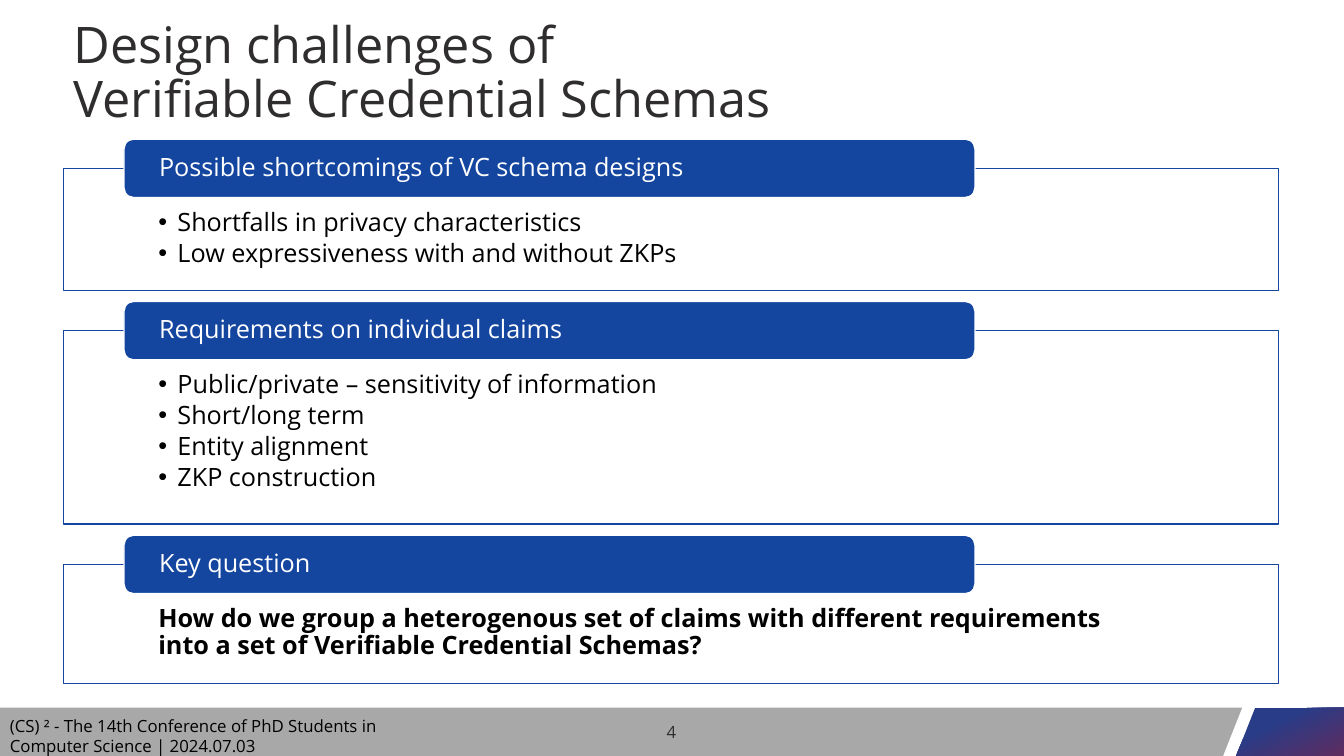
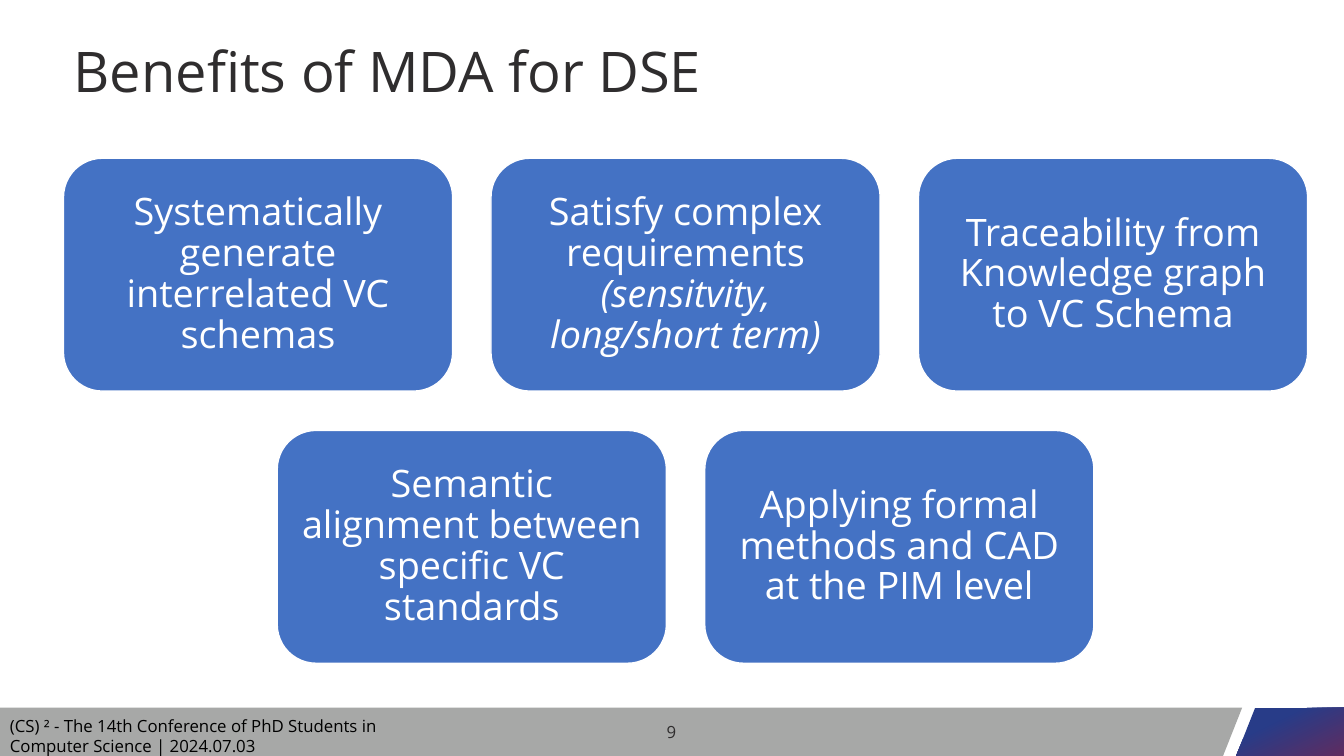
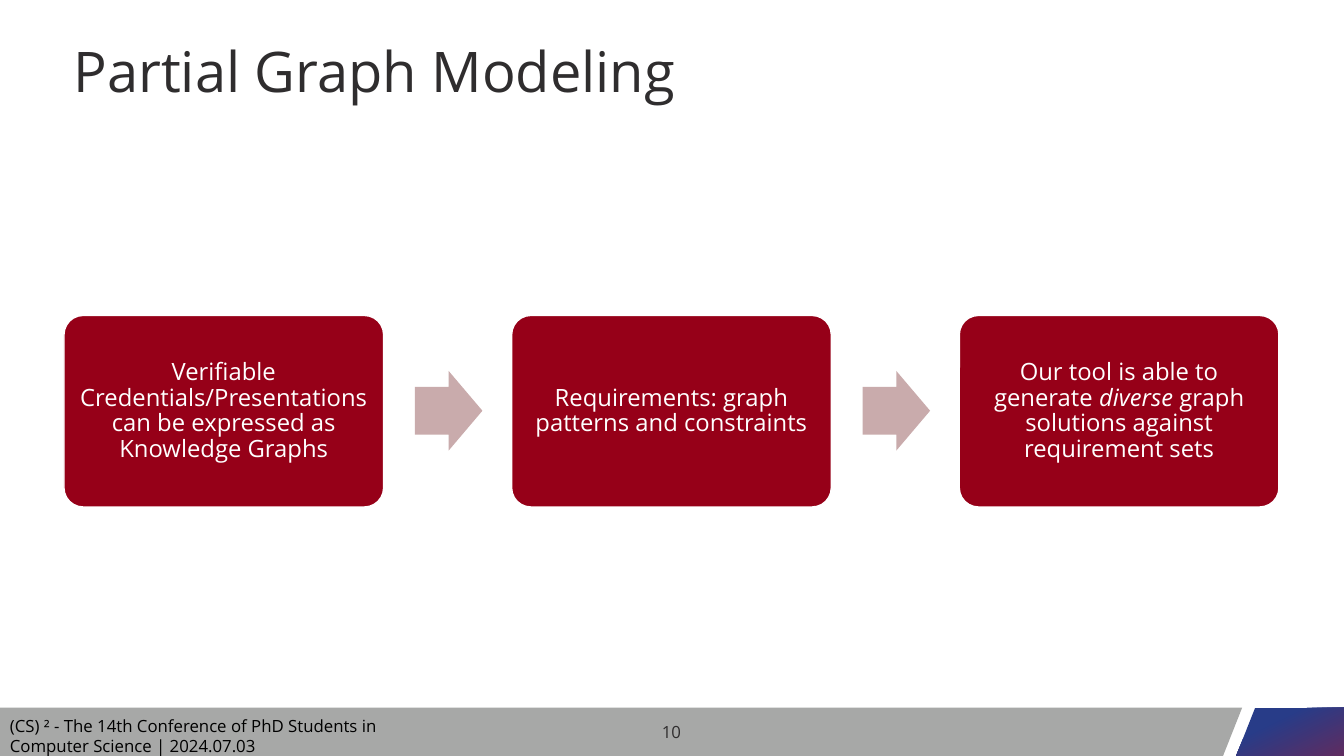
from pptx import Presentation
from pptx.dml.color import RGBColor
from pptx.enum.shapes import MSO_SHAPE
from pptx.enum.text import MSO_ANCHOR, MSO_AUTO_SIZE, PP_ALIGN
from pptx.util import Inches, Pt

# Shared style
FONT = "Open Sans"
BLACK = RGBColor(0x00, 0x00, 0x00)
WHITE = RGBColor(0xFF, 0xFF, 0xFF)
INK = RGBColor(0x2F, 0x2D, 0x2E)
GREY = RGBColor(0xA7, 0xA8, 0xA7)
NAVY = RGBColor(0x28, 0x3C, 0x88)
PLUM = RGBColor(0x5F, 0x2C, 0x60)
BLUE = RGBColor(0x14, 0x46, 0xA0)
SKY = RGBColor(0x44, 0x72, 0xC4)
RED = RGBColor(0x96, 0x00, 0x18)
ROSE = RGBColor(0xC9, 0xAB, 0xAC)

TITLE_ONLY, TWO_LISTS = 5, 3
LEFT, WIDE = 0.63, 12.05


# Elements
def write(shape, *lines, size=18, color=BLACK, bold=False, align=PP_ALIGN.LEFT,
          anchor=MSO_ANCHOR.TOP, inset=(0.1, 0.05), space=0.9, after=0, hang=0):
    """Fill a shape with paragraphs; *stars* mark italics, \\n breaks a line."""
    frame = shape.text_frame
    frame.word_wrap = True
    frame.auto_size = MSO_AUTO_SIZE.NONE
    frame.vertical_anchor = anchor
    frame.margin_left = frame.margin_right = Inches(inset[0])
    frame.margin_top = frame.margin_bottom = Inches(inset[1])
    for num, line in enumerate(lines):
        para = frame.add_paragraph() if num else frame.paragraphs[0]
        para.alignment = align
        para.line_spacing = space
        para.space_before, para.space_after = Pt(0), Pt(after)
        if hang:
            props = para._p.get_or_add_pPr()
            props.set("marL", str(Inches(hang)))
            props.set("indent", str(-Inches(hang)))
        for row, part in enumerate(line.split("\n")):
            if row:
                para.add_line_break()
            for turn, text in enumerate(part.split("*")):
                if not text:
                    continue
                run = para.add_run()
                run.text = text
                font = run.font
                font.name, font.size, font.bold = FONT, Pt(size), bold
                font.italic = turn % 2 == 1
                font.color.rgb = color


def place(shape, left, top, width, height):
    shape.left, shape.top = Inches(left), Inches(top)
    shape.width, shape.height = Inches(width), Inches(height)


def paint(shape, fill, line=None):
    shape.fill.solid()
    shape.fill.fore_color.rgb = fill
    if line is None:
        shape.line.fill.background()
    else:
        shape.line.color.rgb = line
        shape.line.width = Pt(1)


def block(slide, kind, box, fill, line=None, adj=()):
    shape = slide.shapes.add_shape(kind, *map(Inches, box))
    shape.shadow.inherit = False
    paint(shape, fill, line)
    for num, value in enumerate(adj):
        shape.adjustments[num] = value
    return shape


def label(slide, text, box, **style):
    shape = slide.shapes.add_textbox(*map(Inches, box))
    write(shape, text, size=12, space=1, **style)
    return shape


def outline(slide, points):
    start, *rest = [(Inches(x), Inches(y)) for x, y in points]
    pen = slide.shapes.build_freeform(*start)
    pen.add_line_segments(rest)
    shape = pen.convert_to_shape()
    shape.shadow.inherit = False
    return shape


# Page frame
def brand(prs, slide):
    """Draw the footer band on a slide, then move it to the master."""
    band = outline(slide, [(0, 7.02), (12.32, 7.02), (12.13, 7.5), (0, 7.5)])
    paint(band, GREY)
    flag = outline(slide, [(12.45, 7.02), (13.33, 7.02), (13.33, 7.5), (12.26, 7.5)])
    flag.line.fill.background()
    flag.fill.gradient()
    flag.fill.gradient_angle = 296
    for stop, spot, color in zip(flag.fill.gradient_stops, (0.32, 1), (NAVY, PLUM)):
        stop.position = spot
        stop.color.rgb = color
    note = label(slide, "(CS) ² - The 14th Conference of PhD Students in "
                 "Computer Science | 2024.07.03", (0, 7.05, 4.53, 0.45))
    tree = prs.slide_master.shapes.element
    for num, shape in enumerate((band, flag, note)):
        shape.element.xpath(".//p:cNvPr")[0].set("id", str(100 + num))
        tree.insert(2 + num, shape.element)


def page(prs, layout, title, number, size=40):
    slide = prs.slides.add_slide(prs.slide_layouts[layout])
    head = slide.shapes.title
    place(head, LEFT, 0.34, WIDE, 0.79)
    write(head, title, size=size, color=INK, anchor=MSO_ANCHOR.MIDDLE)
    label(slide, str(number), (5.16, 7.05, 3, 0.42), color=INK,
          align=PP_ALIGN.CENTER, anchor=MSO_ANCHOR.MIDDLE)
    return slide


# Groups of elements
def panel(slide, shape, head, top, height, *lines, **style):
    """Framed text with a heading tab over its top edge."""
    place(shape, LEFT, top, WIDE, height)
    paint(shape, WHITE, BLUE)
    write(shape, *lines, inset=(0.94, 0.41), after=2.7, **style)
    tab = block(slide, MSO_SHAPE.ROUNDED_RECTANGLE,
                (1.23, top - 0.29, 8.44, 0.58), BLUE, WHITE)
    write(tab, head, color=WHITE, anchor=MSO_ANCHOR.MIDDLE, inset=(0.32, 0))


def cards(slide, texts, mid, top, width, height, gap, fill, size, inset, adj=()):
    """Centred row of equal cards; returns their left edges."""
    step = width + gap
    first = mid - (len(texts) * step - gap) / 2
    lefts = [first + num * step for num in range(len(texts))]
    for left, text in zip(lefts, texts):
        card = block(slide, MSO_SHAPE.ROUNDED_RECTANGLE,
                     (left, top, width, height), fill, WHITE, adj)
        write(card, text, size=size, color=WHITE, align=PP_ALIGN.CENTER,
              anchor=MSO_ANCHOR.MIDDLE, inset=(inset, inset))
    return lefts


# Slides
def design(prs):
    slide = page(prs, TWO_LISTS, "Design challenges of\nVerifiable Credential Schemas",
                 4, size=36)
    brand(prs, slide)
    flaws, needs = slide.placeholders[1], slide.placeholders[2]
    panel(slide, flaws, "Possible shortcomings of VC schema designs", 1.67, 1.21,
          "Shortfalls in privacy characteristics",
          "Low expressiveness with and without ZKPs", hang=0.19)
    panel(slide, needs, "Requirements on individual claims", 3.28, 1.92,
          "Public/private – sensitivity of information", "Short/long term",
          "Entity alignment", "ZKP construction", hang=0.19)
    ask = block(slide, MSO_SHAPE.RECTANGLE, (LEFT, 5.6, WIDE, 1.18), WHITE)
    panel(slide, ask, "Key question", 5.6, 1.18,
          "How do we group a heterogenous set of claims with different requirements\n"
          "into a set of Verifiable Credential Schemas?", bold=True)


def gains(prs):
    slide = page(prs, TITLE_ONLY, "Benefits of MDA for DSE", 9)
    rows = [
        ["Systematically generate interrelated VC schemas",
         "Satisfy complex requirements\n*(sensitvity, long/short term)*",
         "Traceability from Knowledge graph to VC Schema"],
        ["Semantic alignment between specific VC standards",
         "Applying formal methods and CAD at the PIM level"],
    ]
    for num, texts in enumerate(rows):
        cards(slide, texts, mid=6.8, top=1.57 + 2.7 * num, width=3.86, height=2.31,
              gap=0.38, fill=SKY, size=27, inset=0.11)


def graph(prs):
    slide = page(prs, TITLE_ONLY, "Partial Graph Modeling", 10)
    steps = ["Verifiable Credentials/Presentations can be expressed as Knowledge Graphs",
             "Requirements: graph patterns and constraints",
             "Our tool is able to generate *diverse* graph solutions against "
             "requirement sets"]
    width = 3.17
    lefts = cards(slide, steps, mid=6.66, top=3.13, width=width, height=1.9,
                  gap=1.27, fill=RED, size=17, inset=0.07, adj=(0.1,))
    for left in lefts[:-1]:
        block(slide, MSO_SHAPE.RIGHT_ARROW, (left + width + 0.31, 3.68, 0.67, 0.79),
              ROSE, adj=(0.6, 0.5))


def main():
    prs = Presentation()
    prs.slide_width, prs.slide_height = Inches(13.33), Inches(7.5)
    design(prs)
    gains(prs)
    graph(prs)
    prs.save("out.pptx")


if __name__ == "__main__":
    main()
